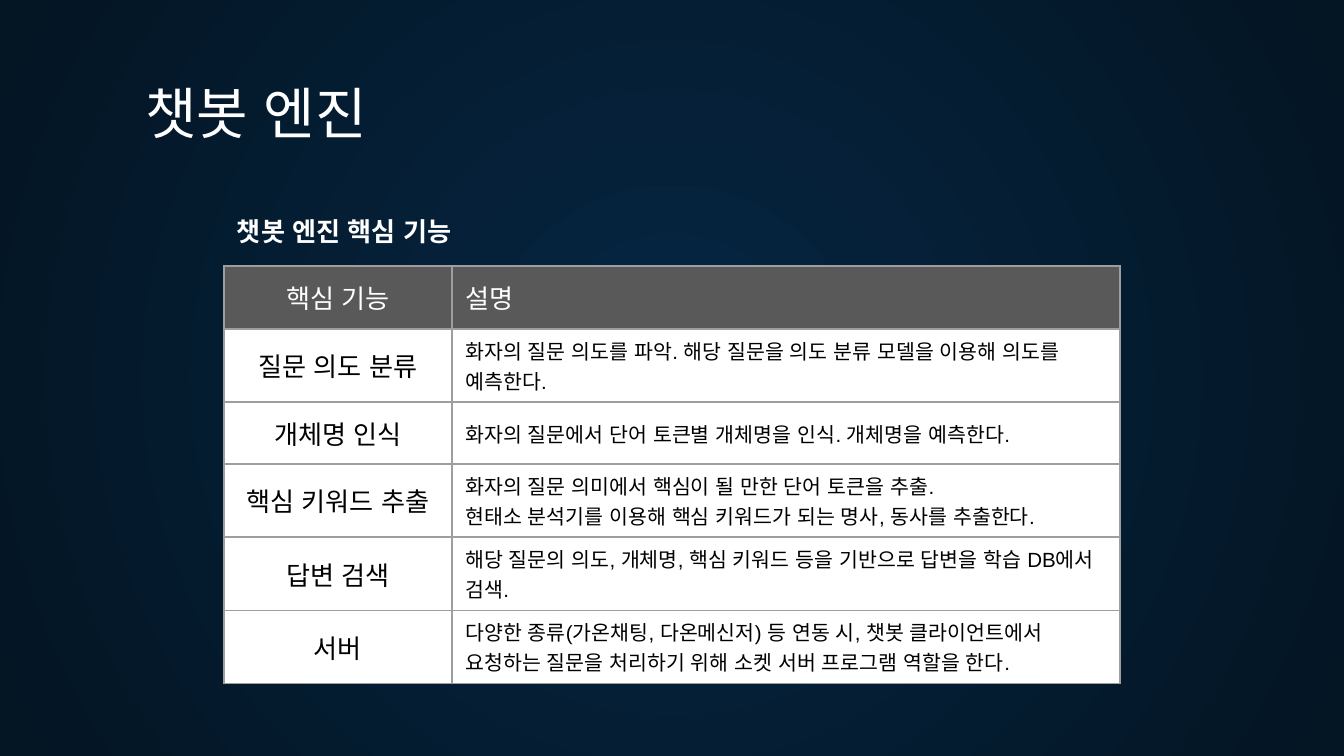
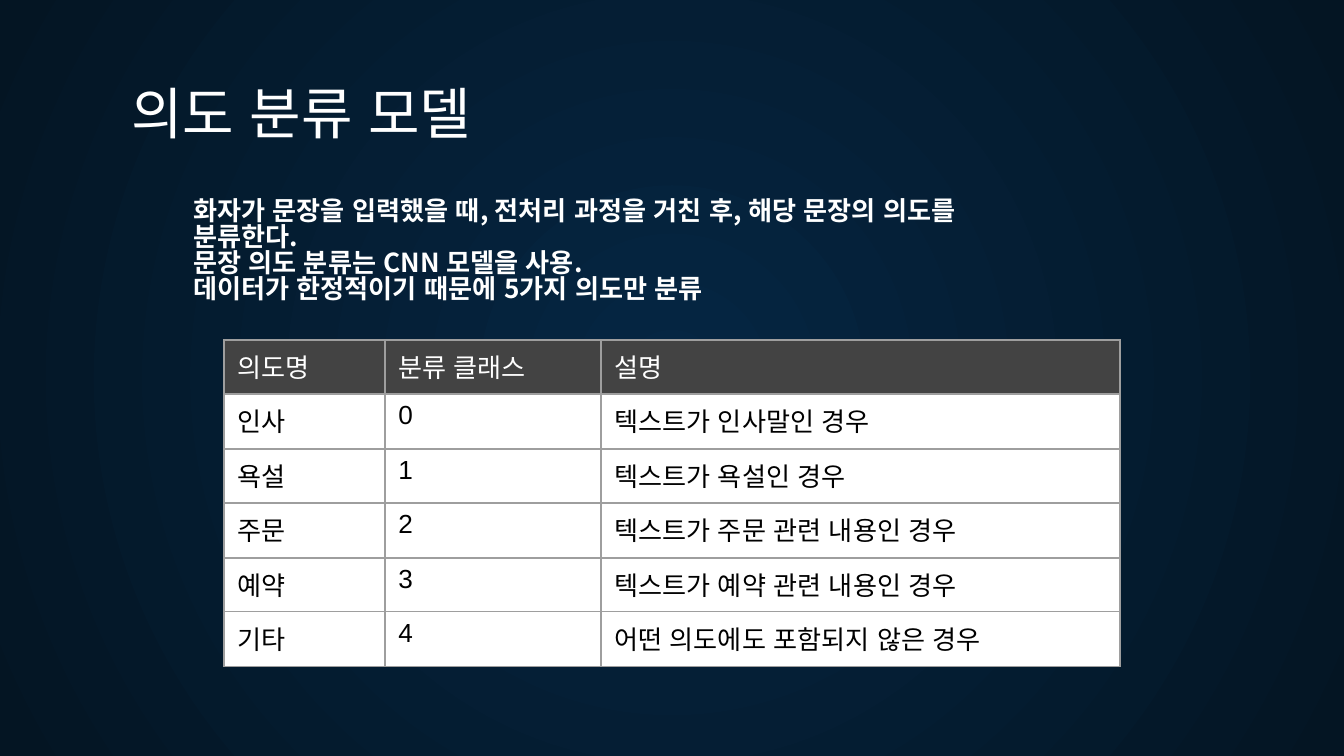
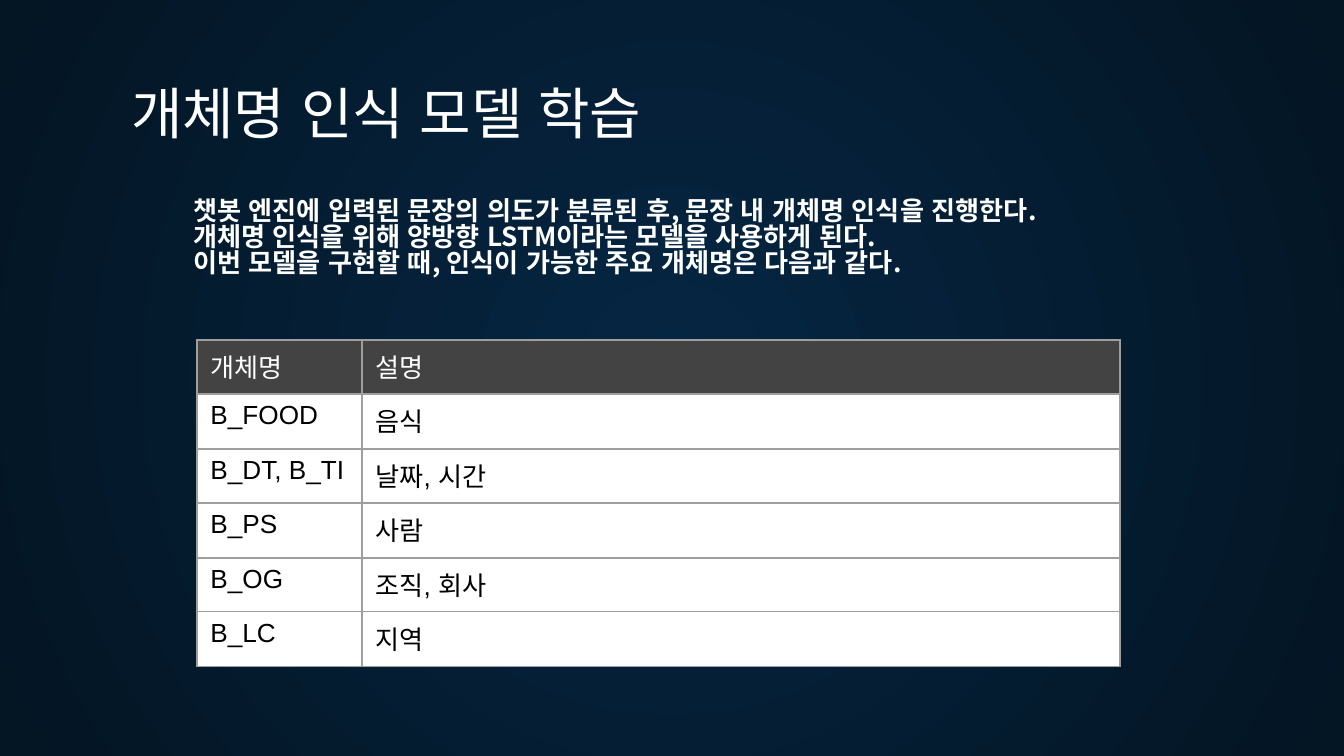
from lxml.etree import SubElement
from pptx import Presentation
from pptx.dml.color import RGBColor
from pptx.enum.lang import MSO_LANGUAGE_ID as Language
from pptx.enum.text import MSO_ANCHOR as Anchor, MSO_AUTO_SIZE as AutoSize, PP_ALIGN as Align
from pptx.oxml.ns import qn
from pptx.util import Emu, Pt

EMU_PER_PX = 914400 / 134.4
KOREAN_FONT = "Noto Sans CJK KR"
TABLE_FONT = "Arial"
WHITE, BLACK, BORDER = "FFFFFF", "000000", "9E9E9E"
DARK_GREY, MID_GREY = "434343", "595959"
GLOW, NIGHT = "052643", "041523"


def px(length):
    return Emu(round(length * EMU_PER_PX))


def color(hex_code):
    return RGBColor.from_string(hex_code)


class Deck:
    """Holds the shared style and the current slide."""

    inset = 13
    line_spacing = 0.83

    def __init__(self):
        self.presentation = Presentation()
        self.presentation.slide_width = px(1344)
        self.presentation.slide_height = px(756)
        self.slide = None
        self.paint_background()

    def paint_background(self):
        """Give the master a round gradient."""
        master = self.presentation.slide_master
        fill = master.background.fill
        fill.gradient()
        for stop, hex_code in zip(fill.gradient_stops, (GLOW, NIGHT)):
            stop.color.rgb = color(hex_code)
        gradient = master.element.find(".//" + qn("p:bg")).find(".//" + qn("a:gradFill"))
        gradient.remove(gradient.find(qn("a:lin")))
        circle = SubElement(gradient, qn("a:path"), path="circle")
        SubElement(circle, qn("a:fillToRect"), l="50000", t="50000", r="50000", b="50000")

    def add_slide(self):
        self.slide = self.presentation.slides.add_slide(self.presentation.slide_layouts[1])

    def add_text(self, paragraph, text, size, hex_code, font=KOREAN_FONT, bold=False):
        run = paragraph.add_run()
        run.text = text
        run.font.size = Pt(size)
        run.font.bold = bold
        run.font.name = font
        run.font.language_id = Language.KOREAN
        run.font.color.rgb = color(hex_code)
        SubElement(run._r.get_or_add_rPr(), qn("a:ea"), typeface=KOREAN_FONT)

    def fill_placeholder(self, shape, box, lines, size, anchor, bold=False):
        shape.left, shape.top, shape.width, shape.height = map(px, box)
        frame = shape.text_frame
        frame.word_wrap = True
        frame.auto_size = AutoSize.NONE
        frame.vertical_anchor = anchor
        frame.margin_left = frame.margin_right = px(self.inset)
        frame.margin_top = frame.margin_bottom = px(self.inset)
        for index, line in enumerate(lines):
            paragraph = frame.add_paragraph() if index else frame.paragraphs[0]
            properties = paragraph._p.get_or_add_pPr()
            properties.set("marL", "0")
            properties.set("indent", "0")
            SubElement(properties, qn("a:buNone"))
            paragraph.alignment = Align.LEFT
            paragraph.line_spacing = self.line_spacing
            paragraph.space_before = Pt(0)
            self.add_text(paragraph, line, size, WHITE, bold=bold)

    def title(self, text, left=118):
        box = (left, 70, 1152, 89)
        self.fill_placeholder(self.slide.shapes.title, box, [text], 30, Anchor.BOTTOM)

    def body(self, lines, left=180, top=187):
        box = (left, top, 868, 28)
        self.fill_placeholder(self.slide.placeholders[1], box, lines, 14, Anchor.TOP, bold=True)

    def border(self, cell):
        properties = cell._tc.get_or_add_tcPr()
        for side in ("a:lnL", "a:lnR", "a:lnT", "a:lnB"):
            line = SubElement(properties, qn(side), w=str(Pt(0.75)))
            fill = SubElement(line, qn("a:solidFill"))
            SubElement(fill, qn("a:srgbClr"), val=BORDER)

    def table(self, left, top, widths, heights, rows, header_fill,
              anchor=Anchor.TOP, centered_column=None, detail_size=14):
        """Draw a table; detail_size is for the last column below the header."""
        table = self.slide.shapes.add_table(
            len(rows), len(widths), px(left), px(top), px(sum(widths)), px(sum(heights))).table
        table.first_row = table.horz_banding = False
        for column, width in zip(table.columns, widths):
            column.width = px(width)
        for row_index, (height, texts) in enumerate(zip(heights, rows)):
            table.rows[row_index].height = px(height)
            is_header = row_index == 0
            for column_index, text in enumerate(texts):
                cell = table.cell(row_index, column_index)
                self.border(cell)
                cell.fill.solid()
                cell.fill.fore_color.rgb = color(header_fill if is_header else WHITE)
                cell.vertical_anchor = anchor
                is_detail = column_index == len(widths) - 1 and not is_header
                for index, line in enumerate(text.split("\n")):
                    frame = cell.text_frame
                    paragraph = frame.add_paragraph() if index else frame.paragraphs[0]
                    centered = column_index == centered_column
                    paragraph.alignment = Align.CENTER if centered else Align.LEFT
                    self.add_text(paragraph, line, detail_size if is_detail else 14,
                                  WHITE if is_header else BLACK, TABLE_FONT)


def main():
    deck = Deck()

    # Chatbot engine
    deck.add_slide()
    deck.title("챗봇 엔진", left=132)
    deck.body(["챗봇 엔진 핵심 기능"], left=224, top=208)
    deck.table(224, 266, [228, 668], [63] + [62] * 5, [
        ("핵심 기능", "설명"),
        ("질문 의도 분류",
         "화자의 질문 의도를 파악. 해당 질문을 의도 분류 모델을 이용해 의도를 예측한다."),
        ("개체명 인식", "화자의 질문에서 단어 토큰별 개체명을 인식. 개체명을 예측한다."),
        ("핵심 키워드 추출",
         "화자의 질문 의미에서 핵심이 될 만한 단어 토큰을 추출.\n"
         "현태소 분석기를 이용해 핵심 키워드가 되는 명사, 동사를 추출한다."),
        ("답변 검색",
         "해당 질문의 의도, 개체명, 핵심 키워드 등을 기반으로 답변을 학습 DB에서 검색."),
        ("서버",
         "다양한 종류(가온채팅, 다온메신저) 등 연동 시, 챗봇 클라이언트에서 "
         "요청하는 질문을 처리하기 위해 소켓 서버 프로그램 역할을 한다."),
    ], MID_GREY, Anchor.MIDDLE, centered_column=0, detail_size=11)

    # Intent classification model
    model_rows = [54] + [55, 54] * 2 + [55]
    deck.add_slide()
    deck.title("의도 분류 모델")
    deck.body([
        "화자가 문장을 입력했을 때, 전처리 과정을 거친 후, 해당 문장의 의도를 분류한다.",
        "문장 의도 분류는 CNN 모델을 사용.",
        "데이터가 한정적이기 때문에 5가지 의도만 분류",
    ])
    deck.table(224, 340, [161, 216, 519], model_rows, [
        ("의도명", "분류 클래스", "설명"),
        ("인사", "0", "텍스트가 인사말인 경우"),
        ("욕설", "1", "텍스트가 욕설인 경우"),
        ("주문", "2", "텍스트가 주문 관련 내용인 경우"),
        ("예약", "3", "텍스트가 예약 관련 내용인 경우"),
        ("기타", "4", "어떤 의도에도 포함되지 않은 경우"),
    ], DARK_GREY)

    # Named entity recognition model
    deck.add_slide()
    deck.title("개체명 인식 모델 학습")
    deck.body([
        "챗봇 엔진에 입력된 문장의 의도가 분류된 후, 문장 내 개체명 인식을 진행한다.",
        "개체명 인식을 위해 양방향 LSTM이라는 모델을 사용하게 된다.",
        "이번 모델을 구현할 때, 인식이 가능한 주요 개체명은 다음과 같다.",
    ])
    deck.table(197, 340, [165, 758], model_rows, [
        ("개체명", "설명"),
        ("B_FOOD", "음식"),
        ("B_DT, B_TI", "날짜, 시간"),
        ("B_PS", "사람"),
        ("B_OG", "조직, 회사"),
        ("B_LC", "지역"),
    ], DARK_GREY)

    deck.presentation.save("out.pptx")


if __name__ == "__main__":
    main()
